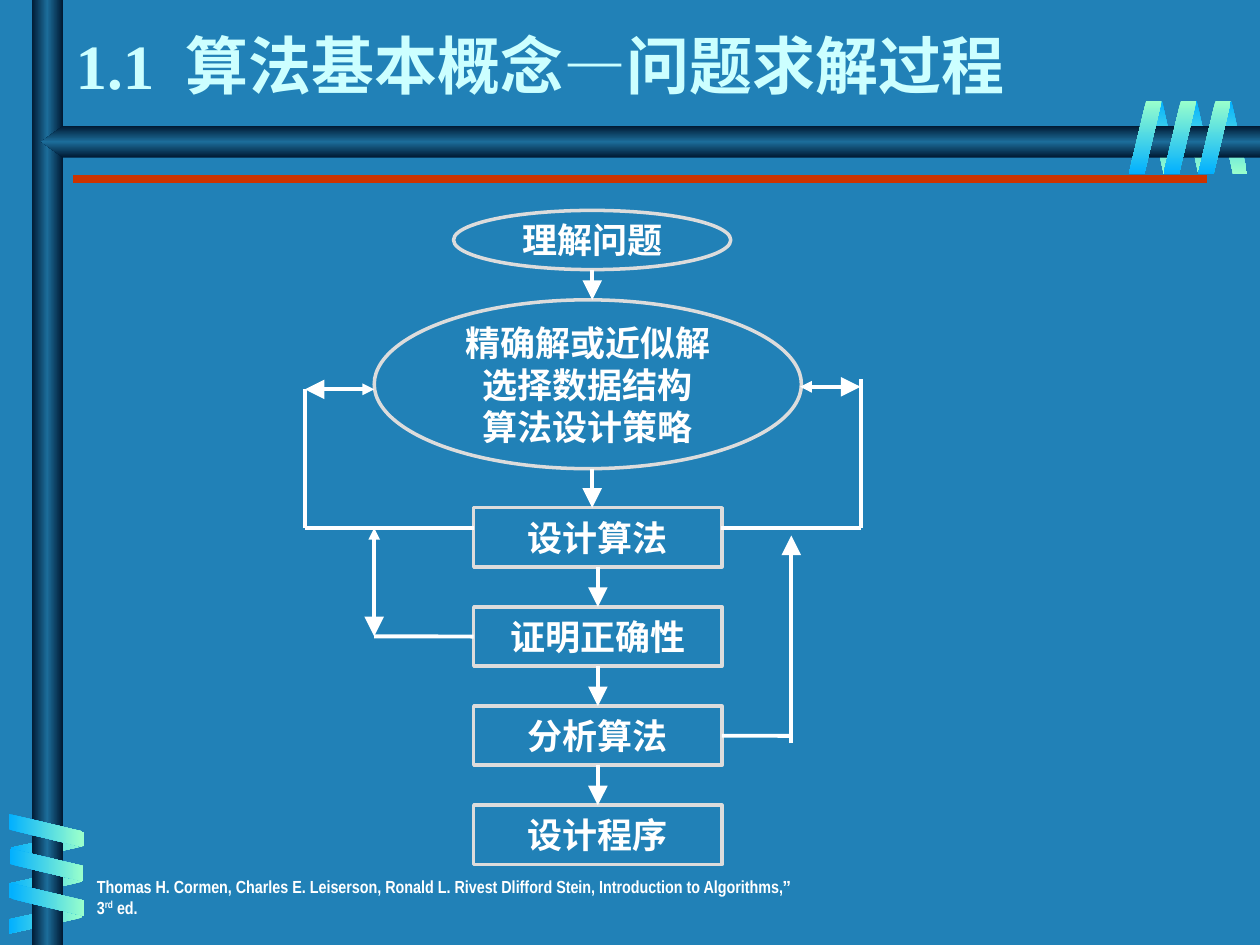
from pptx import Presentation
from pptx.dml.color import RGBColor
from pptx.enum.shapes import MSO_CONNECTOR, MSO_SHAPE
from pptx.enum.text import MSO_ANCHOR, PP_ALIGN
from pptx.oxml import parse_xml
from pptx.oxml.ns import nsdecls, qn
from pptx.util import Inches, Pt

STRAIGHT = MSO_CONNECTOR.STRAIGHT
RECT, ELLIPSE = MSO_SHAPE.RECTANGLE, MSO_SHAPE.OVAL
SLANT, PENTAGON = MSO_SHAPE.PARALLELOGRAM, MSO_SHAPE.PENTAGON
MIDDLE, BOTTOM, TOP = MSO_ANCHOR.MIDDLE, MSO_ANCHOR.BOTTOM, MSO_ANCHOR.TOP
LEFT, CENTER = PP_ALIGN.LEFT, PP_ALIGN.CENTER
TOP_SIDE, LEFT_SIDE, BOTTOM_SIDE, RIGHT_SIDE = range(4)

BLUE, WHITE, GRAY, ICE, RED = "2181B7", "FFFFFF", "DCDCDC", "CCFFFF", "CC3300"
MINT_TO_SKY = ["99FFCC", "01B0FF"]
SKY_TO_MINT = MINT_TO_SKY[::-1]
BAR = ["001932", "1C6D9A", "001932"]


def color(value):
    return RGBColor.from_string(value)


class Board:
    label = {"size": Pt(20), "bold": True}
    heading = {"size": Pt(36), "bold": True}
    citation = {"size": Pt(10), "bold": True}

    def __init__(self, slide):
        self.slide = slide
        background = slide.background.fill
        background.solid()
        background.fore_color.rgb = color(BLUE)

    def add_text(self, paragraph, text, style, font_name, ink=WHITE, **extra):
        run = paragraph.add_run()
        run.text = text
        for key, value in {**style, "name": font_name}.items():
            setattr(run.font, key, value)
        run.font.color.rgb = color(ink)
        for key, value in extra.items():
            run.font._element.set(key, str(value))

    def title(self, box, runs):
        holder = self.slide.shapes.title
        holder.left, holder.top, holder.width, holder.height = map(Inches, box)
        frame = holder.text_frame
        frame.vertical_anchor = BOTTOM
        frame.word_wrap = True
        paragraph = frame.paragraphs[0]
        paragraph.alignment = LEFT
        for text, font_name, extra in runs:
            self.add_text(paragraph, text, self.heading, font_name, ICE, **extra)

    def note(self, box, runs):
        frame = self.slide.shapes.add_textbox(*map(Inches, box)).text_frame
        frame.word_wrap = True
        frame.vertical_anchor = TOP
        for text, font_name, extra in runs:
            self.add_text(frame.paragraphs[0], text, self.citation, font_name, **extra)

    def ornament(self, kind, box, shades, angle, rotation=0, flip=False, adjust=None):
        shape = self.slide.shapes.add_shape(kind, *map(Inches, box))
        shape.shadow.inherit = False
        shape.line.fill.background()
        shape.rotation = rotation
        if adjust is not None:
            shape.adjustments[0] = adjust
        properties = shape._element.spPr
        if flip:
            properties.find(qn("a:xfrm")).set("flipH", "1")
        shape.fill.gradient()
        stops = "".join(
            f'<a:gs pos="{100000 * i // (len(shades) - 1)}"><a:srgbClr val="{shade}"/></a:gs>'
            for i, shade in enumerate(shades))
        gradient = parse_xml(
            f'<a:gradFill {nsdecls("a")} rotWithShape="0"><a:gsLst>{stops}</a:gsLst>'
            f'<a:lin ang="{angle * 60000}" scaled="0"/></a:gradFill>')
        properties.replace(properties.find(qn("a:gradFill")), gradient)

    def node(self, kind, box, lines, font_name="Arial"):
        shape = self.slide.shapes.add_shape(kind, *map(Inches, box))
        shape.shadow.inherit = False
        shape.fill.solid()
        shape.fill.fore_color.rgb = color(BLUE)
        shape.line.color.rgb = color(GRAY)
        shape.line.width = Pt(2)
        frame = shape.text_frame
        frame.word_wrap = False
        frame.vertical_anchor = MIDDLE
        for i, line in enumerate(lines):
            paragraph = frame.add_paragraph() if i else frame.paragraphs[0]
            paragraph.alignment = CENTER
            self.add_text(paragraph, line, self.label, font_name)
        return shape

    def link(self, start, end, head=False, tail=False, begin=None, finish=None,
             ink=WHITE, width=2.25):
        line = self.slide.shapes.add_connector(STRAIGHT, *map(Inches, (*start, *end)))
        if begin:
            line.begin_connect(*begin)
        if finish:
            line.end_connect(*finish)
        line.line.color.rgb = color(ink)
        line.line.width = Pt(width)
        outline = line._element.spPr.find(qn("a:ln"))
        for wanted, tag, size in ((head, "headEnd", "med"), (tail, "tailEnd", "lg")):
            if wanted:
                outline.append(parse_xml(
                    f'<a:{tag} {nsdecls("a")} type="triangle" w="{size}" len="{size}"/>'))
        line._element.spPr.append(parse_xml(f'<a:effectLst {nsdecls("a")}/>'))


def draw_frame(board):
    for i in range(3):
        board.ornament(SLANT, (9.66 - 0.275 * i, 0.8, 0.24, 0.58), SKY_TO_MINT, 90,
                       180, True, 0.53)
    for i, left in enumerate((0.26, 0.24, 0.24)):
        board.ornament(SLANT, (left, 6.43 + 0.285 * i, 0.24, 0.58), MINT_TO_SKY, 0,
                       90, True, 0.53)
    board.ornament(RECT, (0.25, 0, 0.25, 7.5), BAR, 0)
    board.ornament(PENTAGON, (0.33, 1, 9.67, 0.25), BAR, 90, flip=True, adjust=0.68)
    for i in range(3):
        board.ornament(SLANT, (0.23 + 0.01 * i, 6.3 + 0.275 * i, 0.26, 0.58),
                       SKY_TO_MINT, 0, 270, adjust=0.53)
    for i in range(3):
        board.ornament(SLANT, (9.51 - 0.275 * i, 0.8, 0.26, 0.58), MINT_TO_SKY, 90,
                       adjust=0.53)
    board.link((0.58, 1.42), (9.58, 1.42), ink=RED, width=4.5)


def draw_flow(board):
    board.node(ELLIPSE, (3.6, 1.67, 2.2, 0.47), ["理解问题"])
    board.node(ELLIPSE, (2.97, 2.38, 3.39, 1.34),
               ["精确解或近似解", "选择数据结构", "算法设计策略"])
    steps = [("设计算法", "Arial"), ("证明正确性", "Karla"),
             ("分析算法", "Karla"), ("设计程序", "Karla")]
    boxes = [board.node(RECT, (3.76, 4.03 + 0.787 * i, 1.97, 0.47), [text], font_name)
             for i, (text, font_name) in enumerate(steps)]
    proof, analysis = boxes[1:3]

    axis = 4.7
    board.link((axis, 2.14), (axis, 2.38), tail=True)
    board.link((axis, 3.72), (axis, 4.03), tail=True)
    for upper, lower in zip(boxes, boxes[1:]):
        board.link((axis, 4.5), (axis, 4.82), tail=True,
                   begin=(upper, BOTTOM_SIDE), finish=(lower, TOP_SIDE))

    board.link((2.97, 3.09), (2.42, 3.09), head=True, tail=True)
    board.link((6.35, 3.07), (6.83, 3.07), head=True, tail=True)
    board.link((2.42, 3.09), (2.42, 4.19))
    board.link((2.42, 4.19), (3.76, 4.19))
    board.link((6.83, 3.01), (6.83, 4.19))
    board.link((6.83, 4.19), (5.72, 4.19))
    board.link((5.73, 5.84), (6.28, 5.84), begin=(analysis, RIGHT_SIDE))
    board.link((6.28, 5.9), (6.28, 4.25), tail=True)
    board.link((2.97, 4.19), (2.97, 5.05), head=True, tail=True)
    board.link((2.97, 5.05), (3.76, 5.05), finish=(proof, LEFT_SIDE))


def main():
    deck = Presentation()
    deck.slide_width, deck.slide_height = Inches(10), Inches(7.5)
    board = Board(deck.slides.add_slide(deck.slide_layouts[5]))
    draw_frame(board)
    board.note((0.67, 6.9, 5.75, 0.33), [
        ("Thomas H. Cormen, Charles E. Leiserson, Ronald L. Rivest Dlifford Stein, "
         "Introduction to Algorithms,", "Arial Narrow", {}),
        ("”", "Arial", {}),
        (" 3", "Arial Narrow", {}),
        ("rd", "Arial Narrow", {"baseline": 30000}),
        (" ed.", "Arial Narrow", {})])
    board.title((0.5, 0, 9, 0.86), [
        ("1.1", "Times New Roman", {}),
        (" ", "Times New Roman", {"spc": 900}),
        ("算法基本概念", "Times New Roman", {}),
        ("—", "Arial", {}),
        ("问题求解过程", "Times New Roman", {})])
    draw_flow(board)
    deck.save("out.pptx")


if __name__ == "__main__":
    main()
